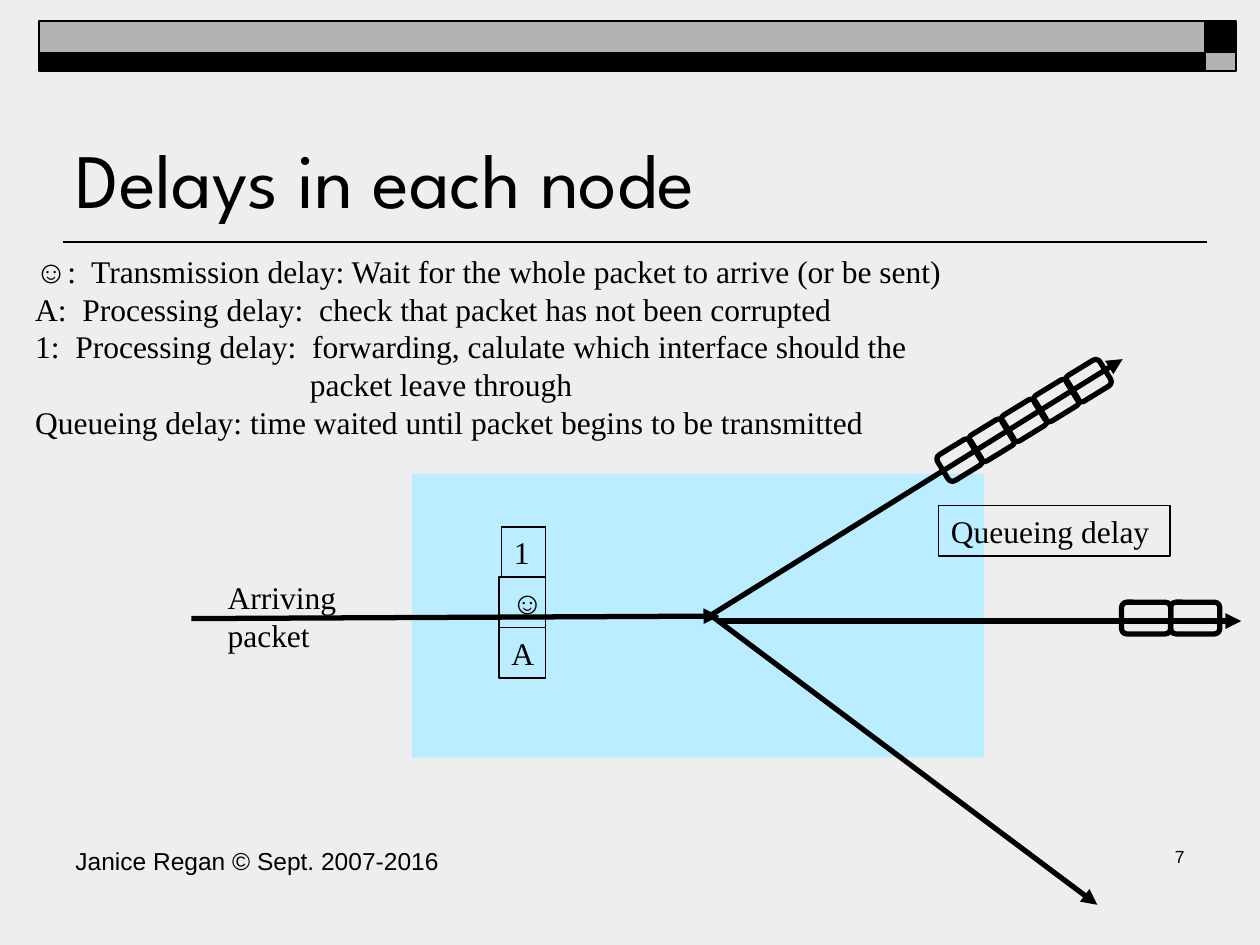
"""Build the slide on delays in each node."""
from lxml.etree import SubElement
from pptx import Presentation
from pptx.dml.color import RGBColor
from pptx.enum.shapes import MSO_CONNECTOR, MSO_SHAPE
from pptx.enum.text import MSO_ANCHOR, MSO_AUTO_SIZE, PP_ALIGN
from pptx.oxml.ns import qn
from pptx.util import Cm, Pt

TITLE = "Delays in each node"
NOTES = [
    ("☺:  Transmission delay: Wait for the whole packet to arrive (or be sent)", 0),
    ("A:  Processing delay:  check that packet has not been corrupted", 0),
    ("1:  Processing delay:  forwarding, calulate which interface should the", 0),
    ("packet leave through", 5.54),
    ("Queueing delay: time waited until packet begins to be transmitted", 0),
]
LABELS = [
    ([("Janice Regan © Sept. 2007-2016", 0)], (1.27, 16.94, 12.19, 1.27), "foot"),
    ([("7", 0)], (18.85, 16.94, 5.28, 1.27), "page"),
    ([("Arriving packet", 0)], (4.34, 11.53, 3.35, 1.8), "body"),
    (NOTES, (0.46, 4.95, 21.82, 4.11), "body"),
]
BOXES = [
    ("1", (10.11, 10.62, 0.89, 1.02)),
    ("☺", (10.06, 11.63, 0.94, 1.02)),
    ("A", (10.06, 12.65, 0.94, 1.02)),
    ("Queueing delay", (18.92, 10.19, 4.67, 1.02)),
]
ARROWS = [
    (3.86, 12.47, 14.5, 12.42),
    (14.33, 12.4, 22.63, 7.24),
    (14.35, 12.42, 22.12, 18.24),
    (14.5, 12.52, 25.02, 12.52),
]
QUEUES = [
    {"count": 5, "start": (18.95, 8.97), "step": (0.65, -0.4),
     "size": (0.79, 0.61), "turn": 328.5},
    {"count": 2, "start": (22.61, 12.14), "step": (0.99, 0),
     "size": (0.99, 0.64), "turn": 0},
]
COLS = [(0.79, 23.5), (24.29, 0.63)]
ROWS = [(0.43, 0.63), (1.06, 0.38)]

THEME = {
    "back": RGBColor(0xEE, 0xEE, 0xEE),
    "ink": RGBColor(0, 0, 0),
    "gray": RGBColor(0xB2, 0xB2, 0xB2),
    "node": RGBColor(0xB9, 0xED, 0xFF),
    "thin": Pt(1),
    "thick": Pt(3),
    "title": {"name": "League Spartan", "size": Pt(44), "bold": False},
    "body": {"name": "Times New Roman", "size": Pt(18)},
    "foot": {"name": "Arial", "size": Pt(14)},
    "page": {"name": "Arial", "size": Pt(10)},
}
FRAME = {"word_wrap": True, "auto_size": MSO_AUTO_SIZE.NONE}


def apply(target, values):
    for key, value in values.items():
        setattr(target, key, value)


def stroke(item, width):
    item.line.color.rgb = THEME["ink"]
    item.line.width = width


def write(frame, lines, style, align=PP_ALIGN.LEFT, **extra):
    apply(frame, {**FRAME, **extra})
    for index, (text, indent) in enumerate(lines):
        para = frame.add_paragraph() if index else frame.paragraphs[0]
        para.alignment = align
        if indent:
            para._p.get_or_add_pPr().set("marL", str(Cm(indent)))
        run = para.add_run()
        run.text = text
        apply(run.font, THEME[style])
        run.font.color.rgb = THEME["ink"]


def block(place, fill=None, width=None, kind=MSO_SHAPE.RECTANGLE):
    shape = slide.shapes.add_shape(kind, *map(Cm, place))
    shape.shadow.inherit = False
    if fill:
        shape.fill.solid()
        shape.fill.fore_color.rgb = THEME[fill]
    else:
        shape.fill.background()
    if width:
        stroke(shape, width)
    else:
        shape.line.fill.background()
    return shape


def link(ends, width, head=False):
    line = slide.shapes.add_connector(MSO_CONNECTOR.STRAIGHT, *map(Cm, ends))
    stroke(line, width)
    if head:
        SubElement(line.line._get_or_add_ln(), qn("a:tailEnd"), type="triangle")
    SubElement(line._element.spPr, qn("a:effectLst"))


deck = Presentation()
apply(deck, {"slide_width": Cm(25.4), "slide_height": Cm(19.05)})
slide = deck.slides.add_slide(deck.slide_layouts[5])
slide.background.fill.solid()
slide.background.fill.fore_color.rgb = THEME["back"]

title = slide.shapes.title
apply(title, {"left": Cm(1.27), "top": Cm(1.47),
              "width": Cm(22.86), "height": Cm(3.18)})
write(title.text_frame, [(TITLE, 0)], "title", vertical_anchor=MSO_ANCHOR.BOTTOM)

link((24.33, 4.88, 1.27, 4.88), THEME["thin"])
for row, (top, height) in enumerate(ROWS):
    for col, (left, width) in enumerate(COLS):
        fill = "gray" if row == col else "ink"
        block((left, top, width, height), fill, THEME["thin"])

block((8.31, 9.55, 11.53, 5.72), "node")
for ends in ARROWS:
    link(ends, THEME["thick"], head=True)

for queue in QUEUES:
    for index in range(queue["count"]):
        spot = [a + index * b for a, b in zip(queue["start"], queue["step"])]
        packet = block((*spot, *queue["size"]), width=THEME["thick"],
                       kind=MSO_SHAPE.ROUNDED_RECTANGLE)
        packet.rotation = queue["turn"]

for text, place in BOXES:
    box = block(place, width=THEME["thin"])
    write(box.text_frame, [(text, 0)], "body", word_wrap=False,
          auto_size=MSO_AUTO_SIZE.SHAPE_TO_FIT_TEXT, vertical_anchor=MSO_ANCHOR.TOP)

for lines, place, style in LABELS:
    label = slide.shapes.add_textbox(*map(Cm, place))
    align = PP_ALIGN.RIGHT if style == "page" else PP_ALIGN.LEFT
    write(label.text_frame, lines, style, align)

deck.save("out.pptx")
